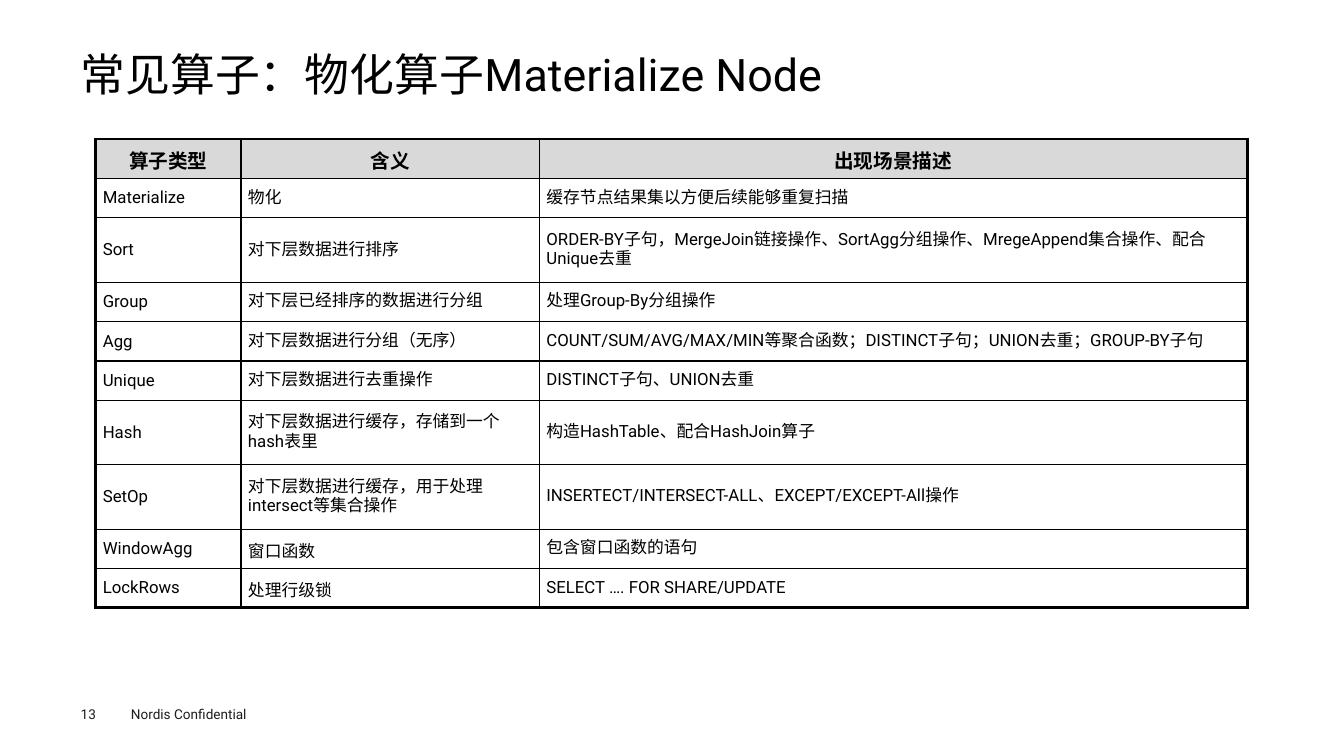
import dataclasses
import typing

import lxml.etree
import pptx
import pptx.dml.color
import pptx.enum.text
import pptx.oxml.ns
import pptx.util

Inches = pptx.util.Inches
Pt = pptx.util.Pt
ANCHOR = pptx.enum.text.MSO_ANCHOR
ALIGN = pptx.enum.text.PP_ALIGN

COLOURS = {"text": "000000", "footer": "1D1D1B", "header": "D9D9D9", "border": "000000"}
FONT = "Roboto"
THIN, THICK = 1, 2.25

COLUMN_WIDTHS = (1.44, 2.96, 7.02)
ROW_HEIGHT, TALL_ROW_HEIGHT = 0.39, 0.64

FRAME_FORMAT = {"word_wrap": True, "auto_size": pptx.enum.text.MSO_AUTO_SIZE.NONE}
NO_MARGINS = dict.fromkeys(("margin_left", "margin_top", "margin_right", "margin_bottom"), 0)
CELL_FORMAT = {
    "margin_left": Inches(0.07), "margin_right": Inches(0.07),
    "margin_top": Inches(0.04), "margin_bottom": Inches(0.04),
    "vertical_anchor": ANCHOR.MIDDLE,
}
HEADER_PARA = {"alignment": ALIGN.CENTER, "line_spacing": 1.1, "space_after": Pt(3)}
BODY_PARA = {"line_spacing": Pt(14)}
LOOSE_PARA = {"line_spacing": 1.1, "space_after": Pt(3)}


@dataclasses.dataclass
class Operator:
    name: str
    meaning: str
    scenario: str
    tall: bool = False
    meaning_para: dict = dataclasses.field(default_factory=lambda: BODY_PARA)


@dataclasses.dataclass
class Label:
    text: str
    left: float
    top: float
    width: float
    height: float
    frame_format: dict


HEADINGS = ("算子类型", "含义", "出现场景描述")
OPERATORS = (
    Operator("Materialize", "物化", "缓存节点结果集以方便后续能够重复扫描"),
    Operator("Sort", "对下层数据进行排序",
             "ORDER-BY子句，MergeJoin链接操作、SortAgg分组操作、MregeAppend集合操作、配合Unique去重",
             tall=True),
    Operator("Group", "对下层已经排序的数据进行分组", "处理Group-By分组操作"),
    Operator("Agg", "对下层数据进行分组（无序）",
             "COUNT/SUM/AVG/MAX/MIN等聚合函数；DISTINCT子句；UNION去重；GROUP-BY子句"),
    Operator("Unique", "对下层数据进行去重操作", "DISTINCT子句、UNION去重"),
    Operator("Hash", "对下层数据进行缓存，存储到一个hash表里",
             "构造HashTable、配合HashJoin算子", tall=True),
    Operator("SetOp", "对下层数据进行缓存，用于处理intersect等集合操作",
             "INSERTECT/INTERSECT-ALL、EXCEPT/EXCEPT-All操作", tall=True),
    Operator("WindowAgg", "窗口函数", "包含窗口函数的语句", meaning_para=LOOSE_PARA),
    Operator("LockRows", "处理行级锁", "SELECT …. FOR SHARE/UPDATE", meaning_para=LOOSE_PARA),
)
FOOTER_LABELS = (
    Label("Nordis Confidential", 1.2, 6.95, 1.6, 0.27, {}),
    Label("13", 0.8, 7, 0.55, 0.16, NO_MARGINS),
)


def apply_format(target: typing.Any, values: dict) -> None:
    for name, value in values.items():
        setattr(target, name, value)


def write_text(frame: typing.Any, text: str, size: float, colour: str = "text",
               bold: bool = False, para_format: typing.Optional[dict] = None) -> None:
    para = frame.paragraphs[0]
    apply_format(para, para_format or {})
    span = para.add_run()
    span.text = text
    apply_format(span.font, {"name": FONT, "size": Pt(size), "bold": bold})
    span.font.color.rgb = pptx.dml.color.RGBColor.from_string(COLOURS[colour])


def place(shape: typing.Any, left: float, top: float, width: float, height: float) -> None:
    apply_format(shape, {"left": Inches(left), "top": Inches(top),
                         "width": Inches(width), "height": Inches(height)})


def set_borders(cell: typing.Any, widths: dict) -> None:
    properties = cell._tc.get_or_add_tcPr()
    qn = pptx.oxml.ns.qn
    for side, width in widths.items():
        line = lxml.etree.SubElement(properties, qn(f"a:ln{side}"), w=str(Pt(width)))
        fill = lxml.etree.SubElement(line, qn("a:solidFill"))
        lxml.etree.SubElement(fill, qn("a:srgbClr"), val=COLOURS["border"])


def add_title(page: typing.Any, text: str) -> None:
    title = page.shapes.title
    place(title, 0.8, 0.49, 11.73, 0.54)
    apply_format(title.text_frame,
                 {**FRAME_FORMAT, **NO_MARGINS, "vertical_anchor": ANCHOR.MIDDLE})
    write_text(title.text_frame, text, 32,
               para_format={"alignment": ALIGN.LEFT, "line_spacing": 0.9})


def add_label(page: typing.Any, label: Label) -> None:
    box = page.shapes.add_textbox(Inches(label.left), Inches(label.top),
                                  Inches(label.width), Inches(label.height))
    apply_format(box.text_frame, {**FRAME_FORMAT, **label.frame_format})
    write_text(box.text_frame, label.text, 9.7, "footer")


def add_operator_table(page: typing.Any) -> None:
    heights = [ROW_HEIGHT] + [TALL_ROW_HEIGHT if operator.tall else ROW_HEIGHT
                              for operator in OPERATORS]
    table = page.shapes.add_table(
        len(heights), len(COLUMN_WIDTHS), Inches(0.95), Inches(1.38),
        Inches(sum(COLUMN_WIDTHS)), Inches(sum(heights))).table
    apply_format(table, {"first_row": False, "horz_banding": False})
    for column, width in zip(table.columns, COLUMN_WIDTHS):
        column.width = Inches(width)
    for row, height in zip(table.rows, heights):
        row.height = Inches(height)

    # Header row, then one row per operator
    contents = [[(heading, HEADER_PARA) for heading in HEADINGS]]
    contents += [[(operator.name, BODY_PARA), (operator.meaning, operator.meaning_para),
                  (operator.scenario, BODY_PARA)] for operator in OPERATORS]
    last_row, last_column = len(heights) - 1, len(COLUMN_WIDTHS) - 1
    for row_index, row_contents in enumerate(contents):
        is_header = row_index == 0
        for column_index, (text, para_format) in enumerate(row_contents):
            cell = table.cell(row_index, column_index)
            apply_format(cell, CELL_FORMAT)
            # Thick lines only around the outside
            set_borders(cell, {
                "L": THICK if column_index == 0 else THIN,
                "R": THICK if column_index == last_column else THIN,
                "T": THICK if is_header else THIN,
                "B": THICK if row_index == last_row else THIN,
            })
            if is_header:
                cell.fill.solid()
                cell.fill.fore_color.rgb = pptx.dml.color.RGBColor.from_string(COLOURS["header"])
            else:
                cell.fill.background()
            write_text(cell.text_frame, text, 14 if is_header else 12,
                       bold=is_header, para_format=para_format)


def main() -> None:
    deck = pptx.Presentation()
    apply_format(deck, {"slide_width": Inches(13.33), "slide_height": Inches(7.5)})
    page = deck.slides.add_slide(deck.slide_layouts.get_by_name("Title Only"))

    # Footer
    for label in FOOTER_LABELS:
        add_label(page, label)

    # Title and table
    add_title(page, "常见算子：物化算子Materialize Node")
    add_operator_table(page)
    deck.save("out.pptx")


if __name__ == "__main__":
    main()
